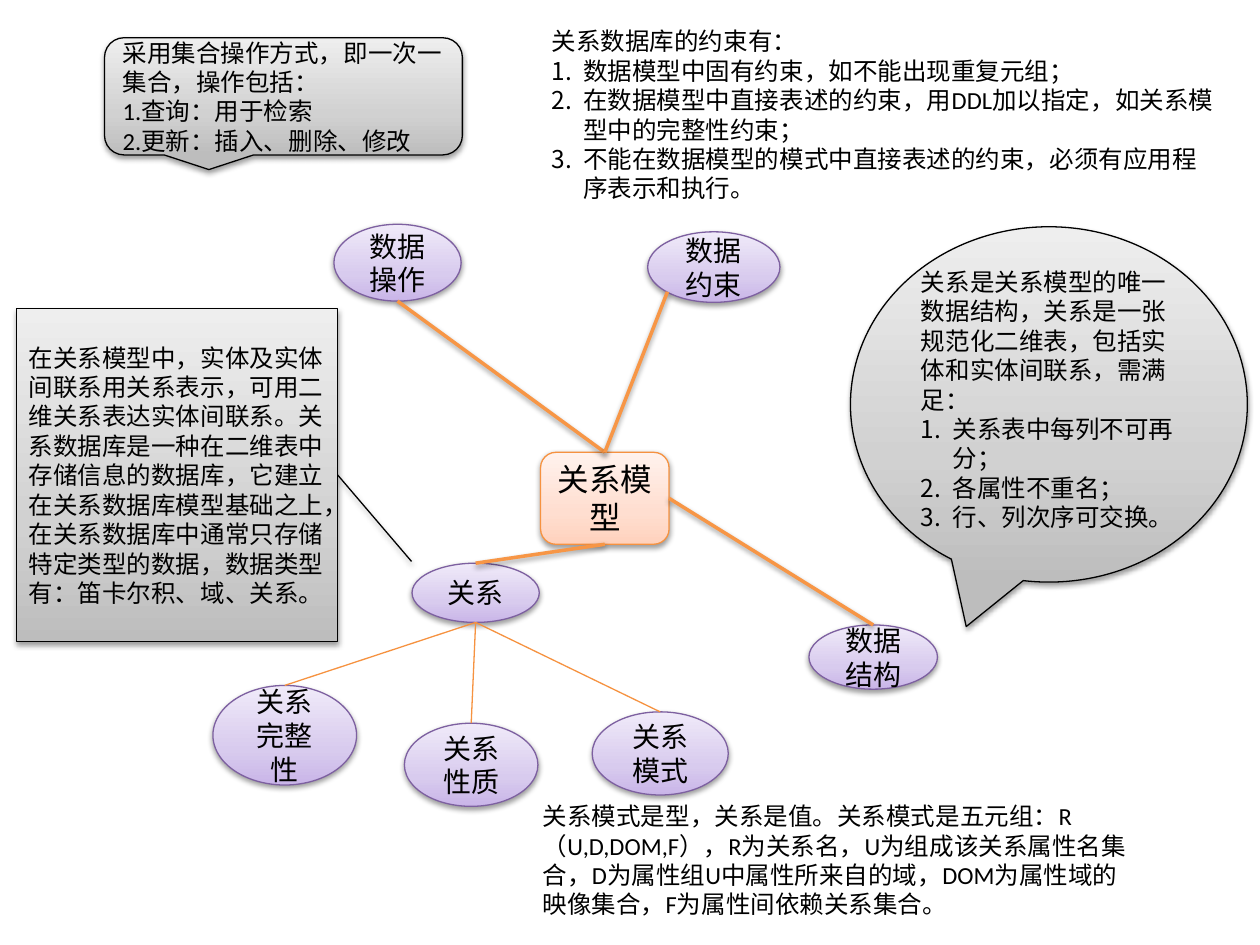
from copy import deepcopy
from dataclasses import dataclass

from lxml.etree import SubElement
from pptx import Presentation
from pptx.dml.color import RGBColor
from pptx.enum.shapes import MSO_CONNECTOR, MSO_SHAPE
from pptx.enum.text import MSO_ANCHOR, MSO_AUTO_SIZE, PP_ALIGN
from pptx.oxml.ns import qn
from pptx.util import Inches, Pt

# Grid of 100 columns by 75 rows
CELL = Inches(0.1)
COLS, ROWS = 100, 75

FONT, BLACK = "Calibri", "000000"
ORANGE_LINE, ORANGE_EDGE, PURPLE_EDGE = "F79646", "F69240", "7D60A0"
ORANGE = ("FFD2BD", "FFDED0", "FFF2ED")
PURPLE = ("C9B5E8", "D8CBEE", "F0EAF9")
GREY = ("BDBDBD", "D1D1D1", "EEEEEE")
STOPS = (0, 0.35, 1)


@dataclass
class Box:
    col: float
    row: float
    cols: float
    rows: float

    def inner(self, col, row, cols, rows):
        return Box(self.col + col, self.row + row, cols, rows)

    def emu(self):
        return [round(n * CELL) for n in (self.col, self.row, self.cols, self.rows)]


def color(value):
    return RGBColor.from_string(value)


def add_soft_shadow(effects):
    shadow = SubElement(effects, qn("a:outerShdw"), blurRad="40000", dist="20000",
                        dir="5400000", rotWithShape="0")
    black = SubElement(shadow, qn("a:srgbClr"), val=BLACK)
    SubElement(black, qn("a:alpha"), val="38000")


def add_panel(slide, kind, box, tones, edge):
    """Shape with a vertical three-tone gradient, a thin edge and a soft shadow."""
    panel = slide.shapes.add_shape(kind, *box.emu())
    panel.fill.gradient()
    panel.fill.gradient_angle = 90
    stop_list = panel._element.spPr.find(".//" + qn("a:gsLst"))
    stop_list.append(deepcopy(stop_list[0]))
    for stop, position, tone in zip(panel.fill.gradient_stops, STOPS, tones):
        stop.position = position
        stop.color.rgb = color(tone)
    panel.line.color.rgb = color(edge)
    panel.line.width = Pt(0.75)
    panel.shadow.inherit = False
    add_soft_shadow(panel._element.spPr.find(qn("a:effectLst")))
    return panel


def write(frame, lines, size, align=PP_ALIGN.LEFT, numbered=()):
    """Plain lines first, then automatically numbered ones."""
    frame.word_wrap = True
    for i, line in enumerate([*lines, *numbered]):
        paragraph = frame.paragraphs[0] if i == 0 else frame.add_paragraph()
        paragraph.alignment = align
        if i >= len(lines):
            props = paragraph._p.get_or_add_pPr()
            props.set("marL", str(Inches(0.25)))
            props.set("indent", str(-Inches(0.25)))
            SubElement(props, qn("a:buFont"), typeface="+mj-ea")
            SubElement(props, qn("a:buAutoNum"), type="arabicPeriod")
        run = paragraph.add_run()
        run.text = line
        run.font.name = FONT
        run.font.size = Pt(size)
        run.font.color.rgb = color(BLACK)


def add_callout(slide, kind, box, lines, numbered=()):
    callout = add_panel(slide, kind, box, GREY, BLACK)
    callout.text_frame.vertical_anchor = MSO_ANCHOR.MIDDLE
    write(callout.text_frame, lines, 14, numbered=numbered)
    return callout


def add_note(slide, box, lines, numbered=()):
    frame = slide.shapes.add_textbox(*box.emu()).text_frame
    write(frame, lines, 14, numbered=numbered)
    frame.auto_size = MSO_AUTO_SIZE.SHAPE_TO_FIT_TEXT


def add_node(slide, kind, box, label, size, tones, edge):
    node = add_panel(slide, kind, box, tones, edge)
    node.text_frame.vertical_anchor = MSO_ANCHOR.MIDDLE
    write(node.text_frame, [label], size, PP_ALIGN.CENTER)
    return node


def rim(node, across, down):
    """Point at the given shares of a node's width and height."""
    return round(node.left + across * node.width), round(node.top + down * node.height)


def add_link(slide, start, end, line_color, width, shadow=False):
    link = slide.shapes.add_connector(MSO_CONNECTOR.STRAIGHT, *start, *end)
    link.line.color.rgb = color(line_color)
    link.line.width = Pt(width)
    effects = SubElement(link._element.spPr, qn("a:effectLst"))
    if shadow:
        add_soft_shadow(effects)
    return link


def add_mind_map(slide, box):
    root = add_node(slide, MSO_SHAPE.ROUNDED_RECTANGLE, box.inner(26.9, 18.9, 10.2, 7.3),
                    "关系模型", 18, ORANGE, ORANGE_EDGE)
    topics = {
        "数据结构": (48.2, 32.6, 10.2, 5.1),
        "数据操作": (10.5, 0.8, 10.1, 6.1),
        "数据约束": (35.4, 1.4, 10.5, 5.6),
        "关系": (16.7, 27.7, 10.1, 4.7),
        "关系性质": (16.1, 40.4, 10.6, 6.6),
        "关系模式": (31, 39.5, 10.8, 6.6),
        "关系完整性": (0.9, 37.4, 11.4, 7.9),
    }
    nodes = {label: add_node(slide, MSO_SHAPE.OVAL, box.inner(*place), label, 16,
                             PURPLE, PURPLE_EDGE)
             for label, place in topics.items()}

    # Main branches: topic, point on its rim, side of the root
    branches = [("数据操作", (0.5, 1), 0), ("数据约束", (0.15, 0.85), 0),
                ("数据结构", (0.5, 0), 3), ("关系", (0.5, 0), 2)]
    for label, point, root_side in branches:
        start = rim(nodes[label], *point)
        branch = add_link(slide, start, rim(root, 0.5, 0.5), ORANGE_LINE, 2, shadow=True)
        branch.end_connect(root, root_side)

    # Thin branches below the relation topic
    for label in ("关系性质", "关系完整性", "关系模式"):
        add_link(slide, rim(nodes["关系"], 0.5, 1), rim(nodes[label], 0.5, 0),
                 ORANGE_EDGE, 0.75)


def add_structure_callout(slide, box):
    bubble = add_callout(
        slide, MSO_SHAPE.OVAL_CALLOUT, box,
        ["关系是关系模型的唯一数据结构，关系是一张规范化二维表，包括实体和实体间联系，需满足："],
        ["关系表中每列不可再分；", "各属性不重名；", "行、列次序可交换。"])
    bubble.text_frame.margin_bottom = Inches(0.13)


def add_operation_callout(slide, box):
    add_callout(slide, MSO_SHAPE.ROUNDED_RECTANGULAR_CALLOUT, box,
                ["采用集合操作方式，即一次一集合，操作包括：",
                 "1.查询：用于检索", "2.更新：插入、删除、修改"])


def add_relation_callout(slide, box):
    callout = add_callout(
        slide, MSO_SHAPE.LINE_CALLOUT_1, box,
        ["在关系模型中，实体及实体间联系用关系表示，可用二维关系表达实体间联系。"
         "关系数据库是一种在二维表中存储信息的数据库，它建立在关系数据库模型基础之上，"
         "在关系数据库中通常只存储特定类型的数据，数据类型有：笛卡尔积、域、关系。"])
    for i, share in enumerate((0.5, 1, 0.76, 1.23)):
        callout.adjustments[i] = share


def main():
    deck = Presentation()
    deck.slide_width, deck.slide_height = COLS * CELL, ROWS * CELL
    slide = deck.slides.add_slide(deck.slide_layouts[6])

    add_mind_map(slide, Box(16, 17, 60, 48))
    add_structure_callout(slide, Box(67.5, 18, 31.5, 28.2))
    add_operation_callout(slide, Box(8.3, 3, 28.4, 9.3))
    add_relation_callout(slide, Box(1.3, 24.5, 25.5, 26.4))

    # Constraint list and schema definition
    add_note(slide, Box(42.8, 1.6, 54.5, 17.7), ["关系数据库的约束有："],
             ["数据模型中固有约束，如不能出现重复元组；",
              "在数据模型中直接表述的约束，用DDL加以指定，如关系模型中的完整性约束；",
              "不能在数据模型的模式中直接表述的约束，必须有应用程序表示和执行。"])
    add_note(slide, Box(42.1, 63.1, 49.3, 10.4),
             ["关系模式是型，关系是值。关系模式是五元组：R（U,D,DOM,F），R为关系名，"
              "U为组成该关系属性名集合，D为属性组U中属性所来自的域，"
              "DOM为属性域的映像集合，F为属性间依赖关系集合。"])

    deck.save("out.pptx")


if __name__ == "__main__":
    main()
